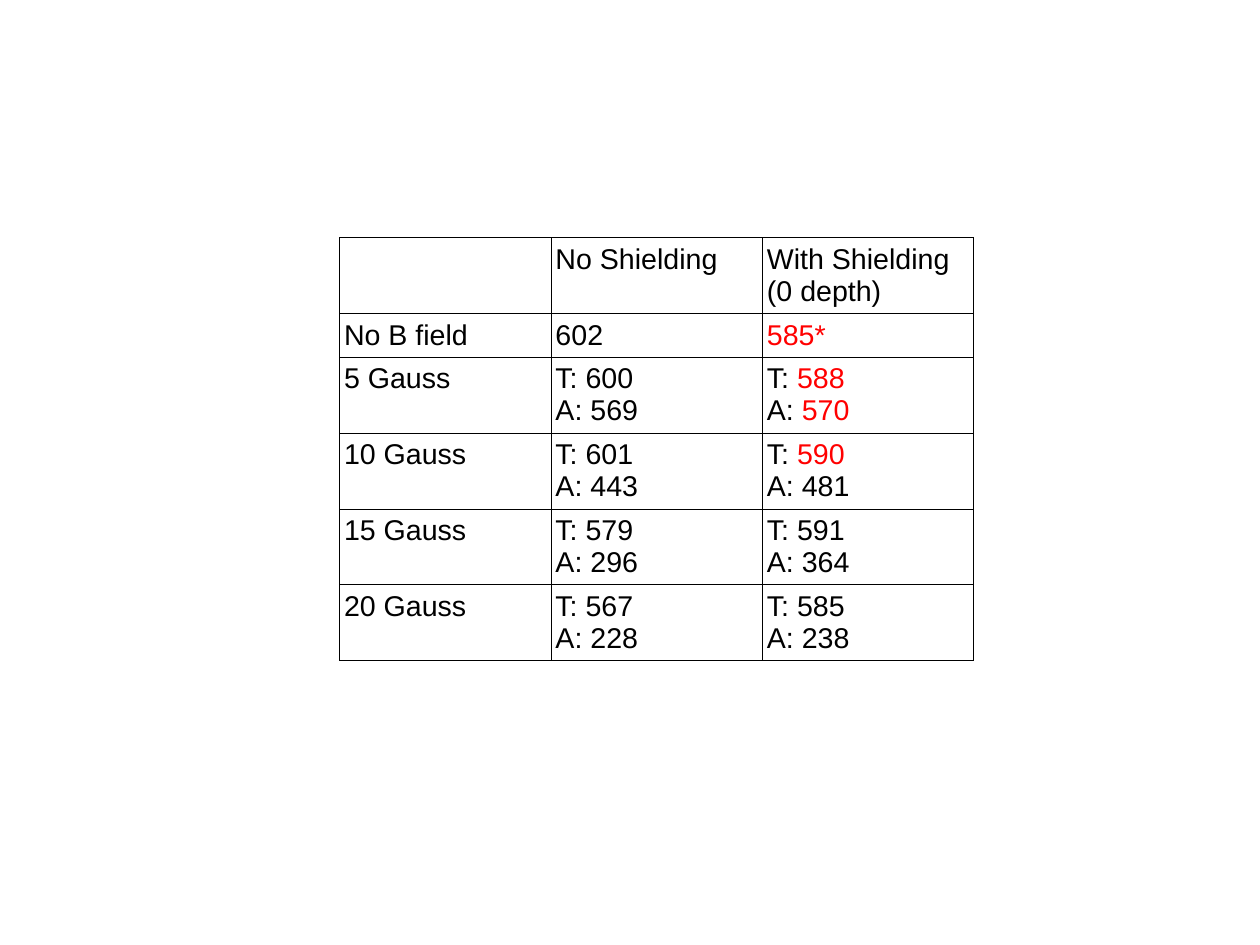
import pptx
import pptx.dml.color
import pptx.oxml
import pptx.oxml.ns
import pptx.util

COLORS = {"text": "000000", "highlight": "FF0000", "border": "000000", "cell": "FFFFFF"}
SLIDE_WIDTH, SLIDE_HEIGHT = pptx.util.Cm(28), pptx.util.Cm(21)
TABLE_LEFT, TABLE_TOP = pptx.util.Inches(2.97), pptx.util.Inches(2.08)
COLUMN_WIDTH = pptx.util.Inches(1.85)
LINE_HEIGHT = pptx.util.Pt(20.3)
MARGIN_X, MARGIN_Y = pptx.util.Inches(0.04), pptx.util.Inches(0.05)
BORDER_WIDTH = pptx.util.Pt(0.57)

# Lines within a cell are split by "\n"; what follows "|" in a line is highlighted
READINGS = [
    ["", "No Shielding", "With Shielding\n(0 depth)"],
    ["No B field", "602", "|585*"],
    ["5 Gauss", "T: 600\nA: 569", "T: |588\nA: |570"],
    ["10 Gauss", "T: 601\nA: 443", "T: |590\nA: 481"],
    ["15 Gauss", "T: 579\nA: 296", "T: 591\nA: 364"],
    ["20 Gauss", "T: 567\nA: 228", "T: 585\nA: 238"],
]


def rgb(name):
    return pptx.dml.color.RGBColor.from_string(COLORS[name])


def write_text(frame, text, size=18, font="Arial", color="text", highlight="highlight"):
    for index, line in enumerate(text.split("\n")):
        paragraph = frame.paragraphs[0] if index == 0 else frame.add_paragraph()
        paragraph.font.size = pptx.util.Pt(size)
        for part, part_color in zip(line.split("|"), (color, highlight)):
            if part:
                run = paragraph.add_run()
                run.text = part
                run.font.size = pptx.util.Pt(size)
                run.font.name = font
                run.font.color.rgb = rgb(part_color)


def add_borders(cell):
    properties = cell._tc.get_or_add_tcPr()
    namespace = pptx.oxml.ns.nsdecls("a")
    for position, side in enumerate("LRTB"):
        border = pptx.oxml.parse_xml(
            f'<a:ln{side} {namespace} w="{BORDER_WIDTH}"><a:solidFill>'
            f'<a:srgbClr val="{COLORS["border"]}"/></a:solidFill></a:ln{side}>'
        )
        properties.insert(position, border)


def format_cell(cell):
    cell.margin_left = cell.margin_right = MARGIN_X
    cell.margin_top = cell.margin_bottom = MARGIN_Y
    cell.fill.solid()
    cell.fill.fore_color.rgb = rgb("cell")
    add_borders(cell)


def add_readings_table(slide, readings):
    # Each row is as high as its longest cell
    heights = [
        LINE_HEIGHT * max(text.count("\n") + 1 for text in row) + 2 * MARGIN_Y
        for row in readings
    ]
    columns = len(readings[0])
    table = slide.shapes.add_table(
        len(readings), columns, TABLE_LEFT, TABLE_TOP, COLUMN_WIDTH * columns, sum(heights)
    ).table
    table.first_row = table.horz_banding = False
    for column in table.columns:
        column.width = COLUMN_WIDTH
    for row, height, texts in zip(table.rows, heights, readings):
        row.height = height
        for cell, text in zip(row.cells, texts):
            format_cell(cell)
            write_text(cell.text_frame, text)


def main():
    presentation = pptx.Presentation()
    presentation.slide_width = SLIDE_WIDTH
    presentation.slide_height = SLIDE_HEIGHT

    # Blank layout: the slide holds only the table
    slide = presentation.slides.add_slide(presentation.slide_layouts[6])
    add_readings_table(slide, READINGS)
    presentation.save("out.pptx")


if __name__ == "__main__":
    main()
